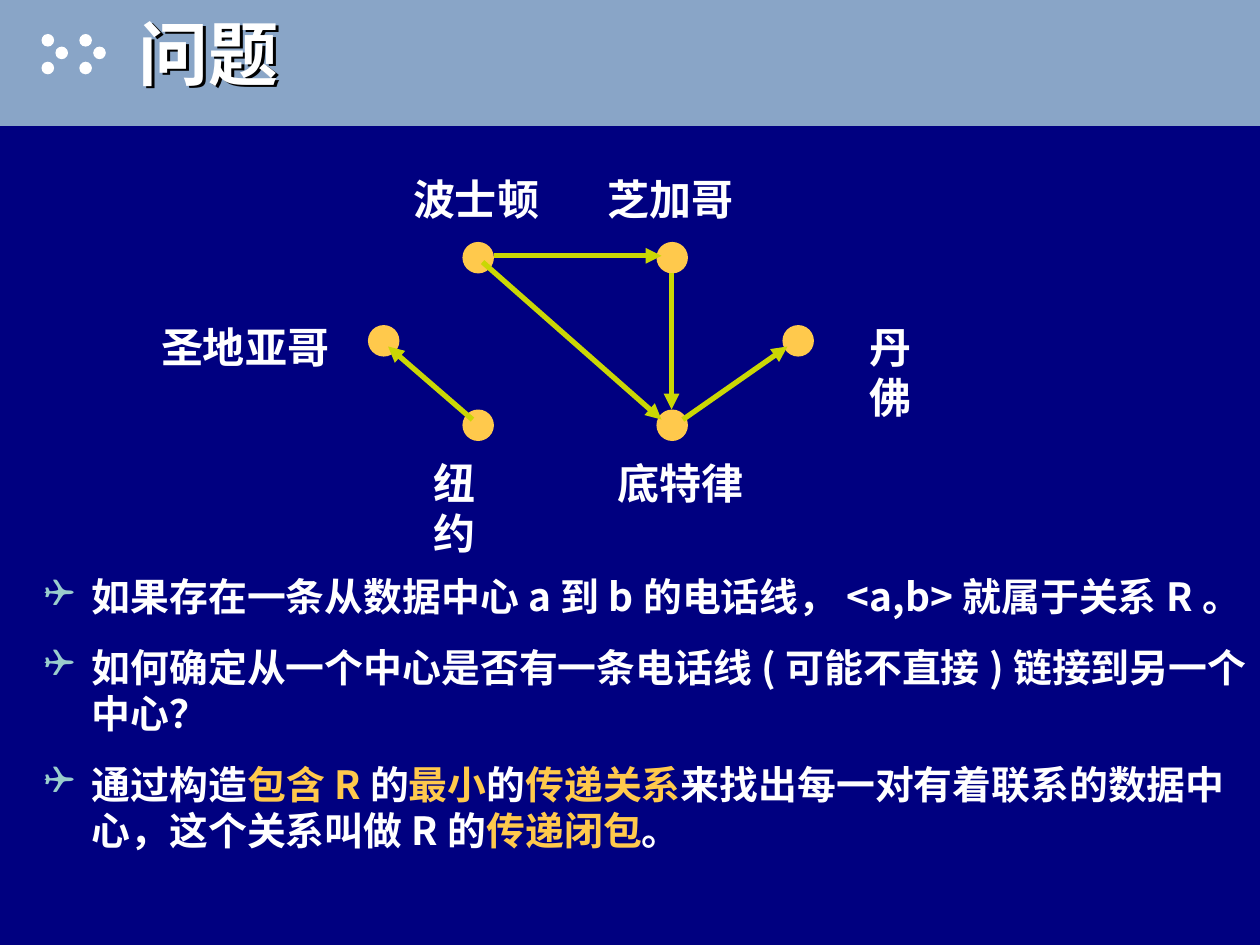
import lxml.etree
import pptx
import pptx.dml.color
import pptx.enum.shapes
import pptx.enum.text
import pptx.oxml.ns
import pptx.util
from pptx.util import Inches

FONT = "Noto Sans CJK SC"
COLORS = {
    "background": "000080",
    "banner": "89A5C7",
    "text": "FFFFFF",
    "accent": "FFC94C",
    "arrow": "CAD704",
    "bullet": "99CCCC",
    "shadow": "000000",
}
NODE_SIZE = 0.25
DOT_SIZE = 0.1

# City: (label left, label top, label width, node left, node top)
CITIES = {
    "波士顿": (3.18, 1.33, 1.2, 3.67, 1.92),
    "芝加哥": (4.72, 1.33, 1.2, 5.21, 1.92),
    "丹佛": (6.8, 2.5, 0.86, 6.21, 2.58),
    "底特律": (4.8, 3.58, 1.2, 5.21, 3.25),
    "圣地亚哥": (1.18, 2.5, 1.53, 2.92, 2.58),
    "纽约": (3.34, 3.58, 0.86, 3.67, 3.25),
}
PHONE_LINES = [
    (3.92, 2.03, 5.25, 2.03),
    (3.83, 2.08, 5.25, 3.33),
    (5.33, 2.17, 5.33, 3.25),
    (5.42, 3.33, 6.25, 2.75),
    (3.75, 3.33, 3.08, 2.75),
]
# Every second piece of a paragraph is highlighted.
BODY = [
    ["如果存在一条从数据中心a到b的电话线，<a,b>就属于关系R。"],
    ["如何确定从一个中心是否有一条电话线(可能不直接)链接到另一个中心？"],
    ["通过构造", "包含R", "的", "最小", "的", "传递关系",
     "来找出每一对有着联系的数据中心，这个关系叫做R的", "传递闭包", "。"],
]


def color(name):
    return pptx.dml.color.RGBColor.from_string(COLORS[name])


def add_xml(parent, tag, **attributes):
    return lxml.etree.SubElement(parent, pptx.oxml.ns.qn(tag), attributes)


def format_font(paragraph, size):
    font = paragraph.font
    font.size = pptx.util.Pt(size)
    font.bold = True
    font.name = FONT
    font.color.rgb = color("text")
    add_xml(font._element, "a:ea", typeface=FONT)


def add_filled_shape(slide, kind, left, top, width, height, fill):
    shape = slide.shapes.add_shape(
        kind, Inches(left), Inches(top), Inches(width), Inches(height))
    shape.shadow.inherit = False
    shape.fill.solid()
    shape.fill.fore_color.rgb = color(fill)
    shape.line.fill.background()


def add_circle(slide, left, top, size, fill):
    add_filled_shape(slide, pptx.enum.shapes.MSO_SHAPE.OVAL,
                     left, top, size, size, fill)


def add_banner(slide):
    add_filled_shape(slide, pptx.enum.shapes.MSO_SHAPE.RECTANGLE,
                     0, 0, 10, 1, "banner")
    for left in (0.33, 0.63):
        for offset, top in ((0, 0.27), (0.11, 0.37), (0, 0.49)):
            add_circle(slide, left + offset, top, DOT_SIZE, "text")


def add_title(slide, text):
    title = slide.shapes.title
    title.left, title.top = Inches(1), Inches(0)
    title.width, title.height = Inches(9), Inches(0.83)
    frame = title.text_frame
    frame.text = text
    frame.vertical_anchor = pptx.enum.text.MSO_ANCHOR.MIDDLE
    paragraph = frame.paragraphs[0]
    paragraph.alignment = pptx.enum.text.PP_ALIGN.LEFT
    format_font(paragraph, 40)
    # The box has no fill, so its shadow falls from the letters.
    effects = add_xml(title._element.spPr, "a:effectLst")
    shadow = add_xml(effects, "a:outerShdw", dist=str(Inches(0.03)), dir="2700000")
    add_xml(shadow, "a:srgbClr", val=COLORS["shadow"])
    # Bring the title in front of the banner.
    slide.shapes._spTree.append(title._element)


def add_label(slide, text, left, top, width):
    box = slide.shapes.add_textbox(
        Inches(left), Inches(top), Inches(width), Inches(0.5))
    frame = box.text_frame
    frame.word_wrap = False
    frame.auto_size = pptx.enum.text.MSO_AUTO_SIZE.SHAPE_TO_FIT_TEXT
    frame.text = text
    format_font(frame.paragraphs[0], 24)


def add_arrow(slide, x1, y1, x2, y2):
    arrow = slide.shapes.add_connector(
        pptx.enum.shapes.MSO_CONNECTOR.STRAIGHT,
        Inches(x1), Inches(y1), Inches(x2), Inches(y2))
    arrow.line.color.rgb = color("arrow")
    arrow.line.width = pptx.util.Pt(3)
    add_xml(arrow.line._get_or_add_ln(), "a:tailEnd", type="triangle")
    add_xml(arrow._element.spPr, "a:effectLst")


def add_bullet(paragraph):
    properties = paragraph._p.get_or_add_pPr()
    properties.set("marL", str(Inches(0.38)))
    properties.set("indent", str(-Inches(0.38)))
    bullet_color = add_xml(properties, "a:buClr")
    add_xml(bullet_color, "a:srgbClr", val=COLORS["bullet"])
    add_xml(properties, "a:buFont", typeface="Wingdings", charset="2")
    add_xml(properties, "a:buChar", char="❑")


def add_body(slide):
    box = slide.shapes.add_textbox(
        Inches(0.25), Inches(4.5), Inches(9.75), Inches(2.67))
    frame = box.text_frame
    frame.word_wrap = True
    for index, pieces in enumerate(BODY):
        paragraph = frame.add_paragraph() if index else frame.paragraphs[0]
        add_bullet(paragraph)
        if index:
            paragraph.space_before = pptx.util.Pt(13.5)
        format_font(paragraph, 22.2)
        for position, piece in enumerate(pieces):
            run = paragraph.add_run()
            run.text = piece
            if position % 2:
                run.font.color.rgb = color("accent")


def main():
    presentation = pptx.Presentation()
    presentation.slide_width = Inches(10)
    presentation.slide_height = Inches(7.5)
    slide = presentation.slides.add_slide(presentation.slide_layouts[5])
    slide.background.fill.solid()
    slide.background.fill.fore_color.rgb = color("background")

    add_banner(slide)
    add_title(slide, "问题")
    add_body(slide)
    for city, (left, top, width, node_left, node_top) in CITIES.items():
        add_label(slide, city, left, top, width)
        add_circle(slide, node_left, node_top, NODE_SIZE, "accent")
    for phone_line in PHONE_LINES:
        add_arrow(slide, *phone_line)

    presentation.save("out.pptx")


if __name__ == "__main__":
    main()
